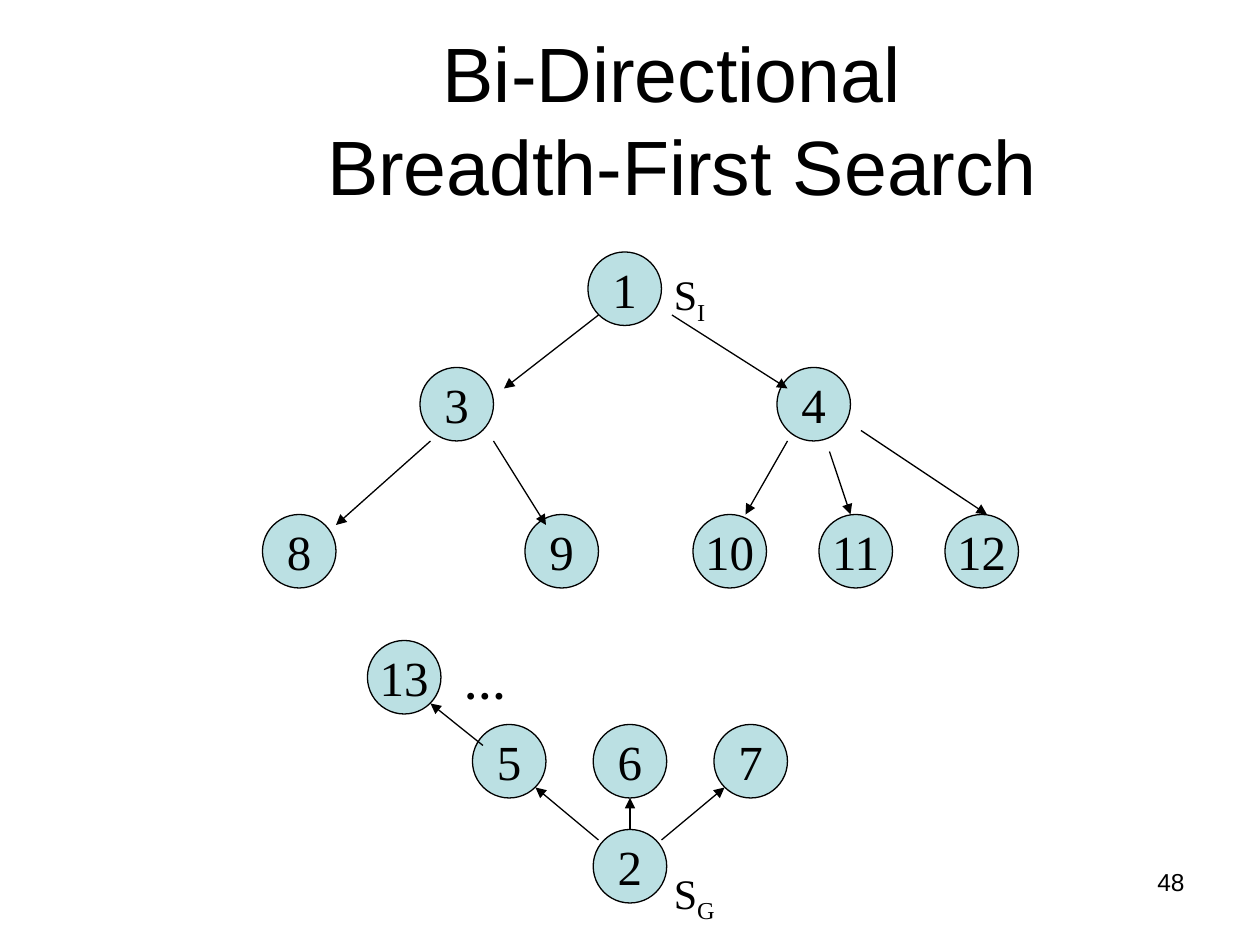
from typing import NamedTuple

from lxml.etree import SubElement
from pptx import Presentation
from pptx.dml.color import RGBColor
from pptx.enum.shapes import MSO_CONNECTOR, MSO_SHAPE
from pptx.enum.text import MSO_ANCHOR, MSO_AUTO_SIZE, PP_ALIGN
from pptx.oxml.ns import qn
from pptx.util import Emu, Inches, Pt

COLS, ROWS = 120, 90
NODE_SIZE = 7
BLACK, NODE_FILL = "000000", "BBE0E3"
SERIF = "Times New Roman"
TITLE_FONT = {"name": "Arial", "size": Pt(44)}
NODE_FONT = {"name": SERIF, "size": Pt(28)}
LABEL_FONT = {"name": SERIF, "size": Pt(24)}
DOTS_FONT = {**LABEL_FONT, "bold": True}
PAGE_FONT = {"name": "Arial", "size": Pt(14)}


class Node(NamedTuple):
    text: str
    col: float
    row: float


class Arrow(NamedTuple):
    col1: float
    row1: float
    col2: float
    row2: float


class Label(NamedTuple):
    text: str
    sub: str
    box: tuple
    font: dict
    align: PP_ALIGN = PP_ALIGN.LEFT


NODES = [
    Node("1", 56, 24),
    Node("3", 40, 35), Node("4", 74, 35),
    Node("8", 25, 49), Node("9", 50, 49),
    *(Node(str(10 + i), 66 + 12 * i, 49) for i in range(3)),
    Node("13", 35, 61),
    *(Node(str(5 + i), 45 + 11.5 * i, 69) for i in range(3)),
    Node("2", 56.5, 79),
]
ARROWS = [
    Arrow(57, 30, 48, 37), Arrow(64, 30, 75, 37),
    Arrow(41, 42, 32, 50), Arrow(47, 42, 52, 50),
    Arrow(75, 42, 71, 49), Arrow(79, 43, 81, 49), Arrow(82, 41, 94, 49),
    Arrow(57, 80, 51, 75), Arrow(60, 79, 60, 76), Arrow(63, 80, 69, 75),
    Arrow(46, 71, 41, 67),
]
LABELS = [
    Label("S", "I", (63, 25, 6, 6.7), LABEL_FONT),
    Label("S", "G", (63, 82, 7, 6.7), LABEL_FONT),
    Label("…", "", (43, 62, 6, 6), DOTS_FONT),
    Label("48", "", (86, 82, 28, 6.25), PAGE_FONT, PP_ALIGN.RIGHT),
]

prs = Presentation()
prs.slide_width, prs.slide_height = Inches(10), Inches(7.5)


def grid(*values: float) -> list[Emu]:
    units = (prs.slide_width / COLS, prs.slide_height / ROWS)
    return [Emu(round(v * units[i % 2])) for i, v in enumerate(values)]


def color(value: str) -> RGBColor:
    return RGBColor.from_string(value)


def set_attrs(obj, values: dict) -> None:
    for name, value in values.items():
        setattr(obj, name, value)


def format_text(tf, font: dict, align: PP_ALIGN, frame: dict) -> None:
    set_attrs(tf, frame)
    for p in tf.paragraphs:
        p.alignment = align
        for r in p.runs:
            set_attrs(r.font, font)
            r.font.color.rgb = color(BLACK)


def set_line(line) -> None:
    line.color.rgb = color(BLACK)
    line.width = Pt(0.75)


def draw_title(s, text: str) -> None:
    sp = s.shapes.title
    places = grid(13, 3.75, 104, 15)
    set_attrs(sp, dict(zip(("left", "top", "width", "height"), places)))
    sp.text_frame.text = text
    format_text(sp.text_frame, TITLE_FONT, PP_ALIGN.CENTER,
                {"vertical_anchor": MSO_ANCHOR.MIDDLE, "word_wrap": True,
                 "auto_size": MSO_AUTO_SIZE.NONE})


def draw_node(s, node: Node) -> None:
    sp = s.shapes.add_shape(
        MSO_SHAPE.OVAL, *grid(node.col, node.row, NODE_SIZE, NODE_SIZE))
    sp.shadow.inherit = False
    sp.fill.solid()
    sp.fill.fore_color.rgb = color(NODE_FILL)
    set_line(sp.line)
    sp.text_frame.text = node.text
    format_text(sp.text_frame, NODE_FONT, PP_ALIGN.CENTER,
                {"vertical_anchor": MSO_ANCHOR.MIDDLE, "word_wrap": False})


def draw_arrow(s, arrow: Arrow) -> None:
    cxn = s.shapes.add_connector(MSO_CONNECTOR.STRAIGHT, *grid(*arrow))
    set_line(cxn.line)
    SubElement(cxn.line._get_or_add_ln(), qn("a:tailEnd"), type="triangle")
    SubElement(cxn._element.spPr, qn("a:effectLst"))


def draw_label(s, label: Label) -> None:
    tf = s.shapes.add_textbox(*grid(*label.box)).text_frame
    p = tf.paragraphs[0]
    p.add_run().text = label.text
    if label.sub:
        r = p.add_run()
        r.text = label.sub
        r.font._element.set("baseline", "-25000")
    format_text(tf, label.font, label.align, {"word_wrap": True})


def main() -> None:
    s = prs.slides.add_slide(prs.slide_layouts.get_by_name("Title Only"))
    draw_title(s, "Bi-Directional \vBreadth-First Search")
    for draw, items in ((draw_node, NODES), (draw_arrow, ARROWS),
                        (draw_label, LABELS)):
        for item in items:
            draw(s, item)
    prs.save("out.pptx")


if __name__ == "__main__":
    main()
